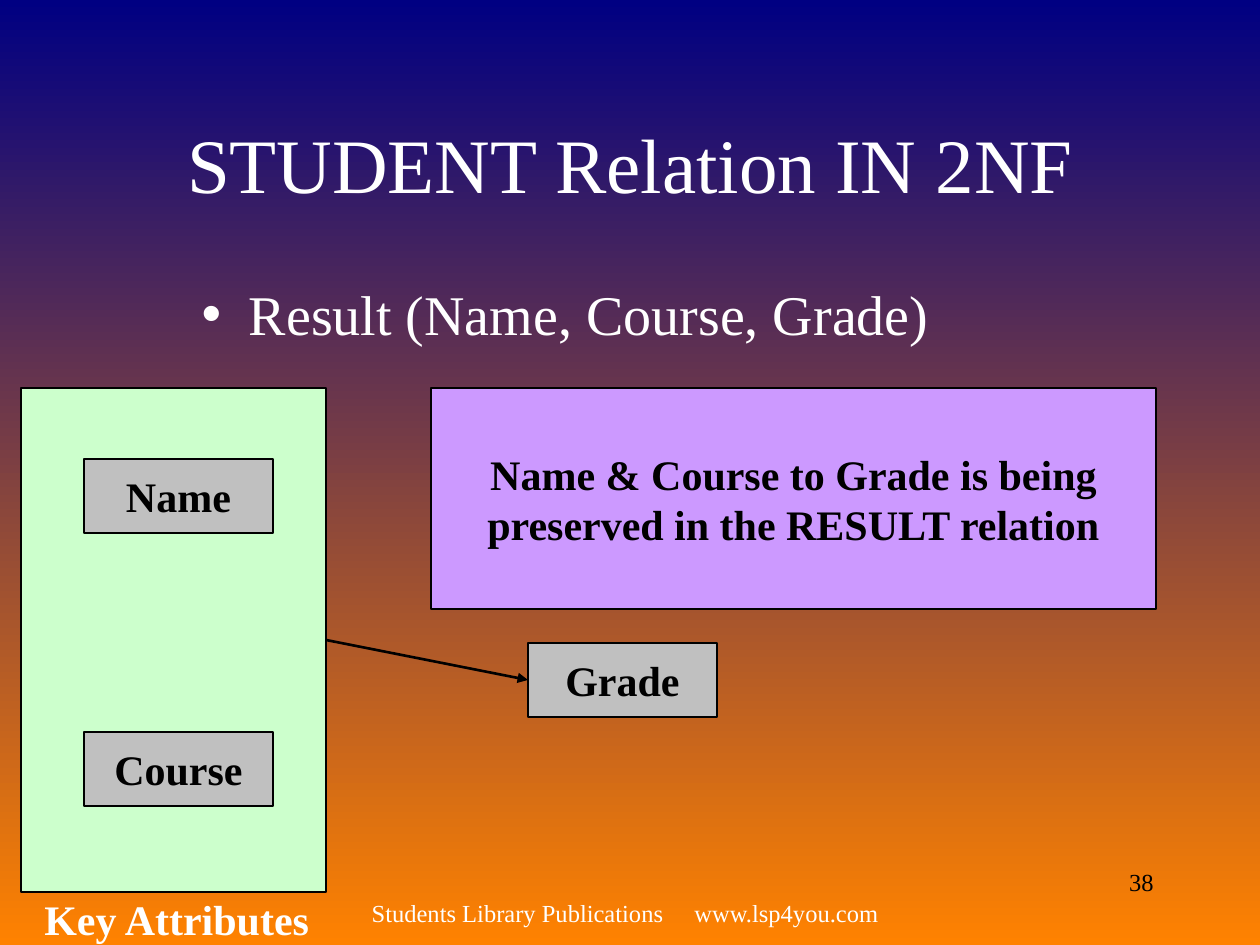
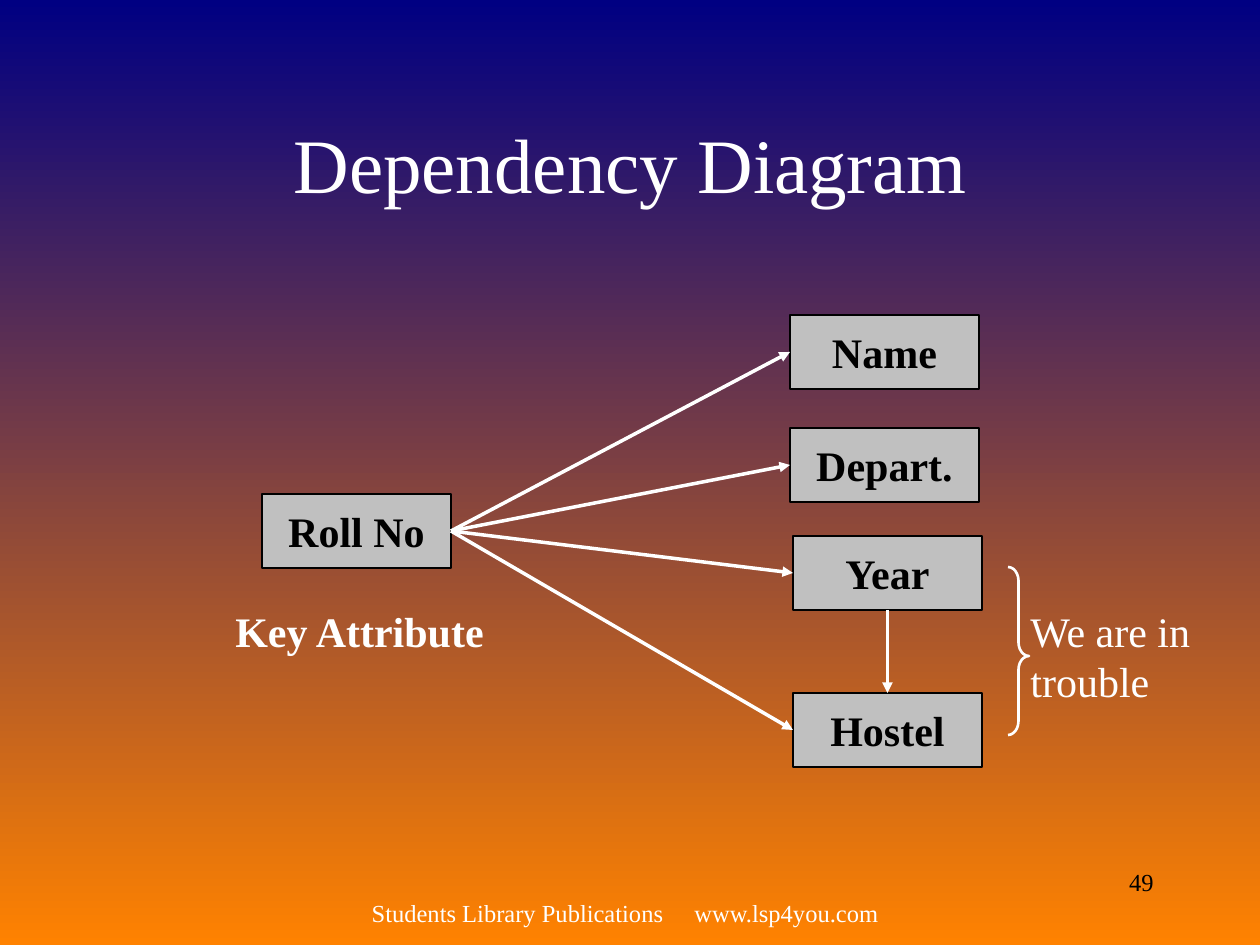
from dataclasses import dataclass

from lxml import etree
from pptx import Presentation
from pptx import util as u
from pptx.dml.color import RGBColor
from pptx.enum import shapes, text
from pptx.oxml import ns

SCALE = 914400 / 126  # EMU in one px
FONT = "Times New Roman"
WHITE, BLACK, GREY = "FFFFFF", "000000", "C0C0C0"
GREEN, LILAC, NAVY, ORANGE = "CCFFCC", "CC99FF", "000082", "FF8200"
NODE_W, NODE_H = 189, 74
LEFT, MID, RIGHT = text.PP_ALIGN.LEFT, text.PP_ALIGN.CENTER, text.PP_ALIGN.RIGHT
TOP, BOTTOM, WEST, EAST = 0, 2, 1, 3  # joins: sides of a rectangle
FOOT = ("Students Library Publications", " ", "www.lsp4you.com")


@dataclass
class Box:
    left: int
    top: int
    wide: int
    high: int
    words: str = ""
    fill: str = GREY
    line: float = 1.5
    wrap: bool = False


@dataclass
class Label:
    left: int
    top: int
    wide: int
    high: int
    words: str
    size: int = 24
    color: str = WHITE
    bold: bool = False
    align: text.PP_ALIGN = LEFT


def px(num: int) -> u.Emu:
    return u.Emu(round(num * SCALE))


def rgb(code: str) -> RGBColor:
    return RGBColor.from_string(code)


def place(item) -> list:
    return [px(n) for n in (item.left, item.top, item.wide, item.high)]


def put(thing, vals: dict) -> None:
    for key, val in vals.items():
        setattr(thing, key, val)


def style(para, size: int, color: str, bold: bool, align) -> None:
    put(para, {"alignment": align, "space_before": u.Pt(0)})
    put(para.font, {"name": FONT, "size": u.Pt(size), "bold": bold})
    para.font.color.rgb = rgb(color)


def stroke(line, color: str, width: float) -> None:
    line.color.rgb = rgb(color)
    line.width = u.Pt(width)


# Drawing parts
def draw(slide, box: Box):
    shape = slide.shapes.add_shape(shapes.MSO_SHAPE.RECTANGLE, *place(box))
    shape.shadow.inherit = False
    shape.fill.solid()
    shape.fill.fore_color.rgb = rgb(box.fill)
    stroke(shape.line, BLACK, box.line)
    if box.words:
        frame = shape.text_frame
        put(frame, {"text": box.words, "word_wrap": box.wrap,
                    "vertical_anchor": text.MSO_ANCHOR.MIDDLE})
        style(frame.paragraphs[0], 24, BLACK, True, MID)
    return shape


def node(slide, left: int, top: int, words: str):
    return draw(slide, Box(left, top, NODE_W, NODE_H, words))


def write(slide, lab: Label):
    frame = slide.shapes.add_textbox(*place(lab)).text_frame
    put(frame, {"text": lab.words, "word_wrap": True})
    para = frame.paragraphs[0]
    style(para, lab.size, lab.color, lab.bold, lab.align)
    return para


def arrow(slide, start, end, color: str, width: float,
          out: int = EAST, into: int = WEST) -> None:
    link = slide.shapes.add_connector(shapes.MSO_CONNECTOR.STRAIGHT, 0, 0, 0, 0)
    link.begin_connect(start, out)
    link.end_connect(end, into)
    stroke(link.line, color, width)
    props = link.line._get_or_add_ln()
    etree.SubElement(props, ns.qn("a:tailEnd"), type="triangle")
    etree.SubElement(props.getparent(), ns.qn("a:effectLst"))


def fill_in(holder, area: Label):
    put(holder, dict(zip(("left", "top", "width", "height"), place(area))))
    put(holder.text_frame, {"text": area.words,
                            "auto_size": text.MSO_AUTO_SIZE.NONE})
    style(holder.text_frame.paragraphs[0], area.size, area.color,
          area.bold, area.align)


# Shared look
def backdrop(deck) -> None:
    fill = deck.slide_master.background.fill
    fill.gradient()
    fill.gradient_angle = 270
    for stop, code in zip(fill.gradient_stops, (NAVY, ORANGE)):
        stop.color.rgb = rgb(code)


def start(deck, layout: int, title: str, page: int):
    slide = deck.slides.add_slide(deck.slide_layouts[layout])
    fill_in(slide.shapes.title, Label(95, 84, 1071, 158, title, 44, align=MID))
    slide.shapes.title.text_frame.vertical_anchor = text.MSO_ANCHOR.MIDDLE
    foot = write(slide, Label(231, 892, 788, 32, "", 14, align=MID))
    for part in FOOT:
        run = foot.add_run()
        run.text = part
        if part == " ":  # widen the gap before the address
            run.font._element.set("spc", "1400")
    write(slide, Label(903, 861, 263, 63, str(page), 14, BLACK, align=RIGHT))
    return slide


# Slides
def relation(deck) -> None:
    slide = start(deck, 1, "STUDENT Relation IN 2NF", 38)
    fill_in(slide.placeholders[1],
            Label(189, 273, 935, 567, "Result (Name, Course, Grade)", 32))
    keys = draw(slide, Box(21, 388, 305, 504, fill=GREEN))
    node(slide, 84, 459, "Name")
    node(slide, 84, 732, "Course")
    grade = node(slide, 528, 643, "Grade")
    arrow(slide, keys, grade, BLACK, 1.5)
    write(slide, Label(32, 887, 305, 63, "Key Attributes", bold=True))
    draw(slide, Box(431, 388, 725, 221,
                    "Name & Course to Grade is being preserved "
                    "in the RESULT relation", LILAC, 0.75, True))


def diagram(deck) -> None:
    slide = start(deck, 5, "Dependency Diagram", 49)
    roll = node(slide, 262, 494, "Roll No")
    spots = ((790, 315, "Name"), (790, 428, "Depart."),
             (793, 536, "Year"), (793, 693, "Hostel"))
    nodes = [node(slide, *spot) for spot in spots]
    write(slide, Label(223, 599, 305, 63, "Key Attribute", bold=True))
    for item in nodes:
        arrow(slide, roll, item, WHITE, 2)
    year, hostel = nodes[2:]
    arrow(slide, year, hostel, WHITE, 2, BOTTOM, TOP)

    # Brace and remark
    brace = slide.shapes.add_shape(shapes.MSO_SHAPE.RIGHT_BRACE,
                                   px(1008), px(567), px(21), px(168))
    brace.shadow.inherit = False
    brace.adjustments[0], brace.adjustments[1] = 0.66, 0.53
    brace.fill.background()
    stroke(brace.line, WHITE, 1.5)
    write(slide, Label(1018, 599, 199, 113, "We are in trouble"))


def main() -> None:
    deck = Presentation()
    put(deck, {"slide_width": px(1260), "slide_height": px(945)})
    backdrop(deck)
    relation(deck)
    diagram(deck)
    deck.save("out.pptx")


if __name__ == "__main__":
    main()
